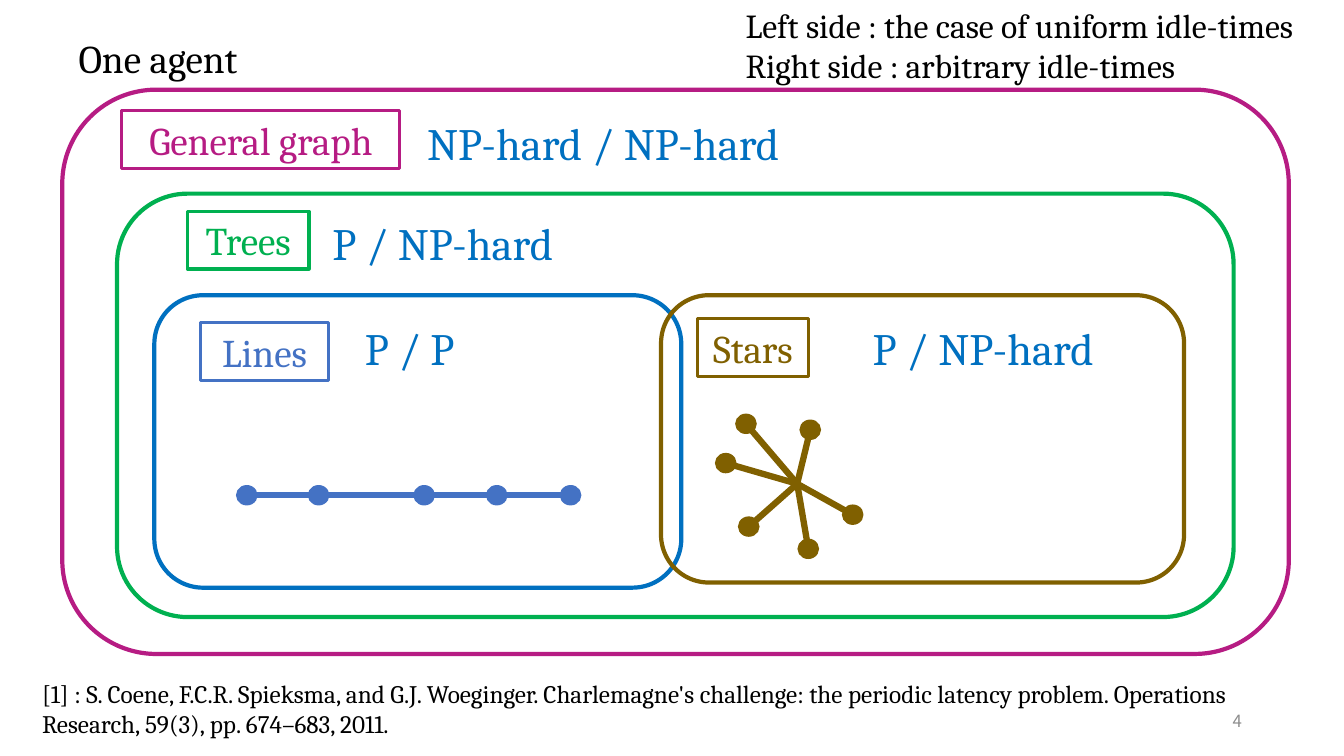
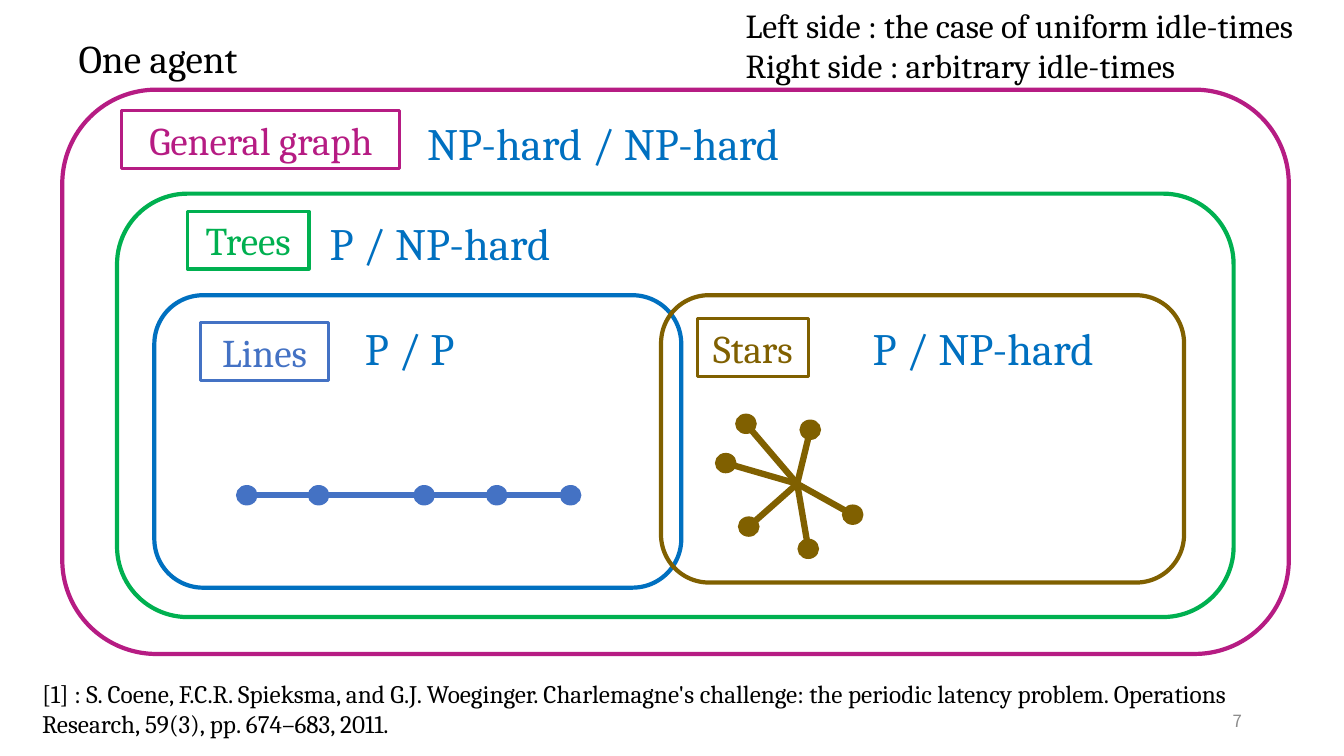
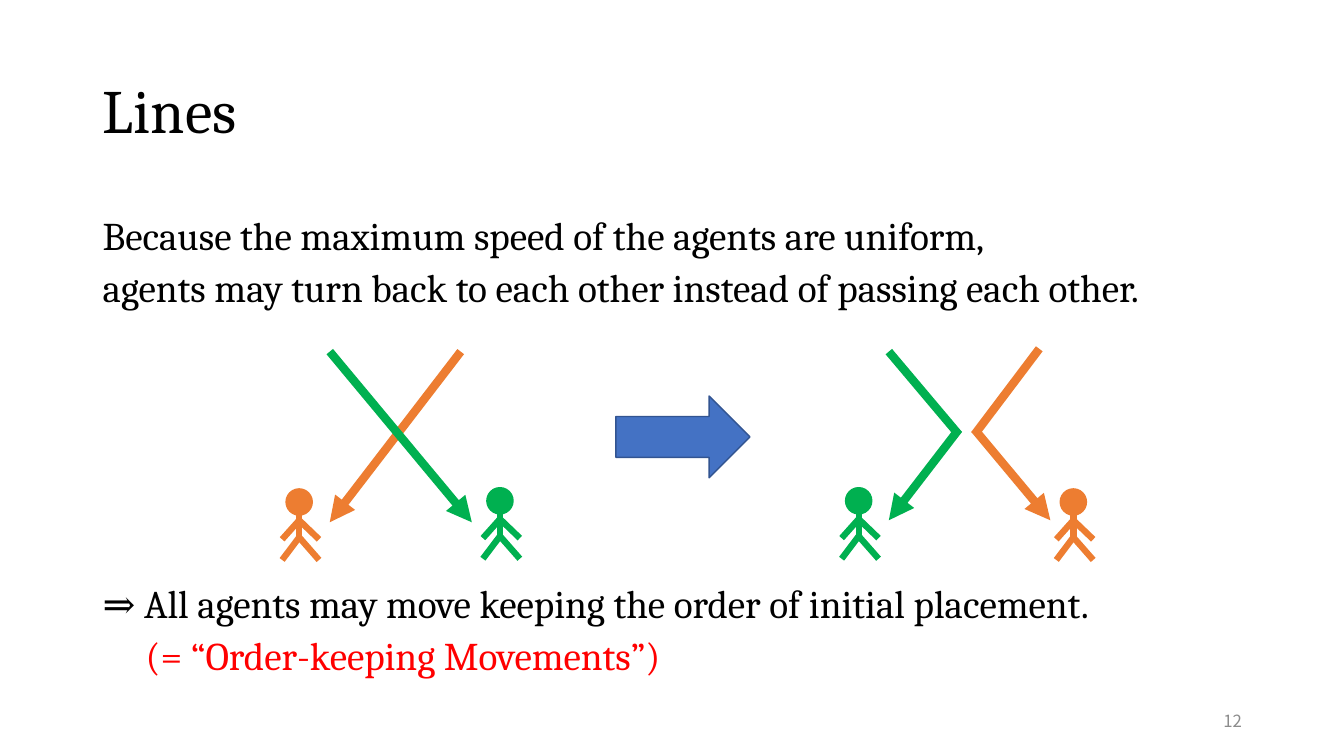
from pptx import Presentation
from pptx.dml.color import RGBColor
from pptx.enum.shapes import MSO_CONNECTOR, MSO_SHAPE
from pptx.enum.text import MSO_ANCHOR, PP_ALIGN
from pptx.oxml.ns import qn
from pptx.util import Cm, Pt
from lxml.etree import SubElement

BLACK = RGBColor(0x00, 0x00, 0x00)
GREY = RGBColor(0x8C, 0x8C, 0x8C)
RED = RGBColor(0xFF, 0x00, 0x00)
PINK = RGBColor(0xB6, 0x1C, 0x83)
GREEN = RGBColor(0x00, 0xB0, 0x50)
BLUE = RGBColor(0x00, 0x70, 0xC0)
INDIGO = RGBColor(0x44, 0x72, 0xC4)
NAVY = RGBColor(0x32, 0x54, 0x91)
OLIVE = RGBColor(0x80, 0x60, 0x00)
ORANGE = RGBColor(0xED, 0x7D, 0x31)

SERIF, SANS = "Cambria", "Noto Sans CJK JP"

# All lengths below are in centimetres.
FRAMES = [
    ((1.57, 2.26, 30.91, 14.22), PINK),
    ((2.95, 4.88, 28.14, 10.67), GREEN),
    ((3.89, 7.44, 13.28, 7.37), BLUE),
    ((16.66, 7.44, 13.18, 7.24), OLIVE),
]
TAGS = [
    ("General graph", (3.07, 2.79, 7.01, 1.45), PINK),
    ("Trees", (4.72, 5.33, 3.07, 1.45), GREEN),
    ("Lines", (5.05, 8.13, 3.23, 1.45), INDIGO),
    ("Stars", (17.58, 8.03, 2.79, 1.45), OLIVE),
]
RESULTS = [
    ("NP-hard / NP-hard", (10.01, 2.79, 10.39, 1.63)),
    ("P / P", (8.89, 7.95, 2.87, 1.63)),
    ("P / NP-hard", (21.49, 7.95, 6.58, 1.63)),
]
NOTES = [
    ("One agent", (1.73, 0.74, 4.78, 1.45), 28),
    ("Left side : the case of uniform idle-times\n"
     "Right side : arbitrary idle-times", (18.54, 0, 15.32, 2.31), 24),
    ("[1] : S. Coene, F.C.R. Spieksma, and G.J. Woeginger. Charlemagne's "
     "challenge: the periodic latency problem. Operations Research, 59(3), "
     "pp. 674–683, 2011.", (0.81, 16.97, 32.39, 1.8), 18),
]
DOT = (0.51, 0.48)
HUB = (20.09, 12.19)
TIPS = [(18.8, 10.68), (20.42, 10.83), (21.49, 12.97),
        (20.37, 13.83), (18.87, 13.27), (18.29, 11.67)]
CHAIN = [(x, 12.48) for x in (6.22, 8.03, 10.69, 12.52, 14.38)]
MAPS = [(4, 7.87), (7, 7.8)]  # slide number, left edge of the trees result

REASON = ("Because the maximum speed of the agents are uniform,\n"
          "agents may turn back to each other instead of passing each other.")
RESULT = "⇒ All agents may move keeping the order of initial placement."
TERM = "(= “Order-keeping Movements”)"
MOVES = [  # start, end, colour, arrowhead
    ((11.61, 8.86), (8.31, 13.16), ORANGE, True),
    ((8.31, 8.86), (11.89, 13.16), GREEN, True),
    ((24.16, 10.82), (22.4, 13.11), GREEN, True),
    ((24.56, 10.82), (26.47, 13.11), ORANGE, True),
    ((24.16, 10.95), (22.4, 8.86), GREEN, False),
    ((24.56, 10.95), (26.19, 8.79), ORANGE, False),
]
AGENTS = [(7.54, 12.32, ORANGE), (12.6, 12.29, GREEN),
          (21.64, 12.29, GREEN), (27.05, 12.32, ORANGE)]
HEAD = 0.66
LIMBS = [  # offsets from the top of the head
    ((0, 0.66), (0, 1.27)),
    ((0, 0.79), (0.5, 1.27)), ((0, 0.79), (-0.43, 1.27)),
    ((0, 1.22), (0.5, 1.79)), ((0, 1.22), (-0.43, 1.79)),
]


def write(para, text, size, color, font=SERIF):
    for i, line in enumerate(text.split("\n")):
        if i:
            para.add_line_break()
        run = para.add_run()
        run.text = line
        run.font.size, run.font.name = Pt(size), font
        run.font.color.rgb = color


def add_text(slide, text, box, size, color=BLACK, font=SERIF,
             align=PP_ALIGN.LEFT, anchor=MSO_ANCHOR.TOP, wrap=True, space=None):
    frame = slide.shapes.add_textbox(*map(Cm, box)).text_frame
    frame.word_wrap, frame.vertical_anchor = wrap, anchor
    para = frame.paragraphs[0]
    para.alignment, para.line_spacing = align, space
    write(para, text, size, color, font)
    return frame


def add_shape(slide, kind, box, line, width, fill=None):
    shape = slide.shapes.add_shape(kind, *map(Cm, box))
    shape.shadow.inherit = False
    if fill is None:
        shape.fill.background()
    else:
        shape.fill.solid()
        shape.fill.fore_color.rgb = fill
    shape.line.color.rgb, shape.line.width = line, Pt(width)
    return shape


def add_line(slide, start, end, color, width=4.5, arrow=False):
    line = slide.shapes.add_connector(
        MSO_CONNECTOR.STRAIGHT, *map(Cm, (*start, *end)))
    line.line.color.rgb, line.line.width = color, Pt(width)
    if arrow:
        SubElement(line.line._get_or_add_ln(), qn("a:tailEnd"), type="triangle")
    SubElement(line._element.spPr, qn("a:effectLst"))


def add_dot(slide, center, size, color):
    (x, y), (w, h) = center, size
    add_shape(slide, MSO_SHAPE.OVAL, (x - w / 2, y - h / 2, w, h),
              color, 1, color)


def add_agent(slide, x, top, color):
    add_dot(slide, (x, top + HEAD / 2), (HEAD, HEAD), color)
    for (x1, y1), (x2, y2) in LIMBS:
        add_line(slide, (x + x1, top + y1), (x + x2, top + y2), color)


def new_slide(deck, number):
    slide = deck.slides.add_slide(deck.slide_layouts[6])
    add_text(slide, str(number), (23.93, 17.65, 7.62, 1.02), 12, GREY, SANS,
             PP_ALIGN.RIGHT, MSO_ANCHOR.MIDDLE)
    return slide


def add_map(deck, number, left):
    """Nested graph classes with the complexity of each."""
    slide = new_slide(deck, number)
    for box, color in FRAMES:
        add_shape(slide, MSO_SHAPE.ROUNDED_RECTANGLE, box, color, 3)
    for text, box, color in TAGS:
        tag = add_shape(slide, MSO_SHAPE.RECTANGLE, box, color, 2.25)
        para = tag.text_frame.paragraphs[0]
        para.alignment = PP_ALIGN.CENTER
        write(para, text, 28, color)
    for text, box in RESULTS + [("P / NP-hard", (left, 5.31, 6.58, 1.63))]:
        add_text(slide, text, box, 32, BLUE, align=PP_ALIGN.CENTER, wrap=False)
    for text, box, size in NOTES:
        add_text(slide, text, box, size)
    for tip in TIPS:
        add_line(slide, HUB, tip, OLIVE)
        add_dot(slide, tip, DOT, OLIVE)
    add_line(slide, CHAIN[0], CHAIN[-1], INDIGO)
    for spot in CHAIN:
        add_dot(slide, spot, DOT, INDIGO)


def add_proof(deck):
    slide = new_slide(deck, 12)
    add_text(slide, "Lines", (2.34, 1.02, 29.21, 3.68), 44,
             anchor=MSO_ANCHOR.MIDDLE, space=0.9)
    body = add_text(slide, REASON, (2.34, 5.08, 29.21, 3.1), 28, space=1.1)
    end = add_text(slide, RESULT, (2.34, 14.35, 29.21, 3.56), 28, space=1.1)
    for frame in (body, end):
        frame.paragraphs[0].space_before = Pt(10)
    term = end.add_paragraph()
    term.line_spacing = 1.1
    term._p.get_or_add_pPr().set("marL", str(Cm(1.08)))
    write(term, TERM, 28, RED)
    for start, stop, color, arrow in MOVES:
        add_line(slide, start, stop, color, 6, arrow)
    add_shape(slide, MSO_SHAPE.RIGHT_ARROW, (15.52, 9.98, 3.38, 2.06),
              NAVY, 1, INDIGO)
    for agent in AGENTS:
        add_agent(slide, *agent)


def main():
    deck = Presentation()
    deck.slide_width, deck.slide_height = Cm(33.87), Cm(19.05)
    for number, left in MAPS:
        add_map(deck, number, left)
    add_proof(deck)
    deck.save("out.pptx")


if __name__ == "__main__":
    main()
